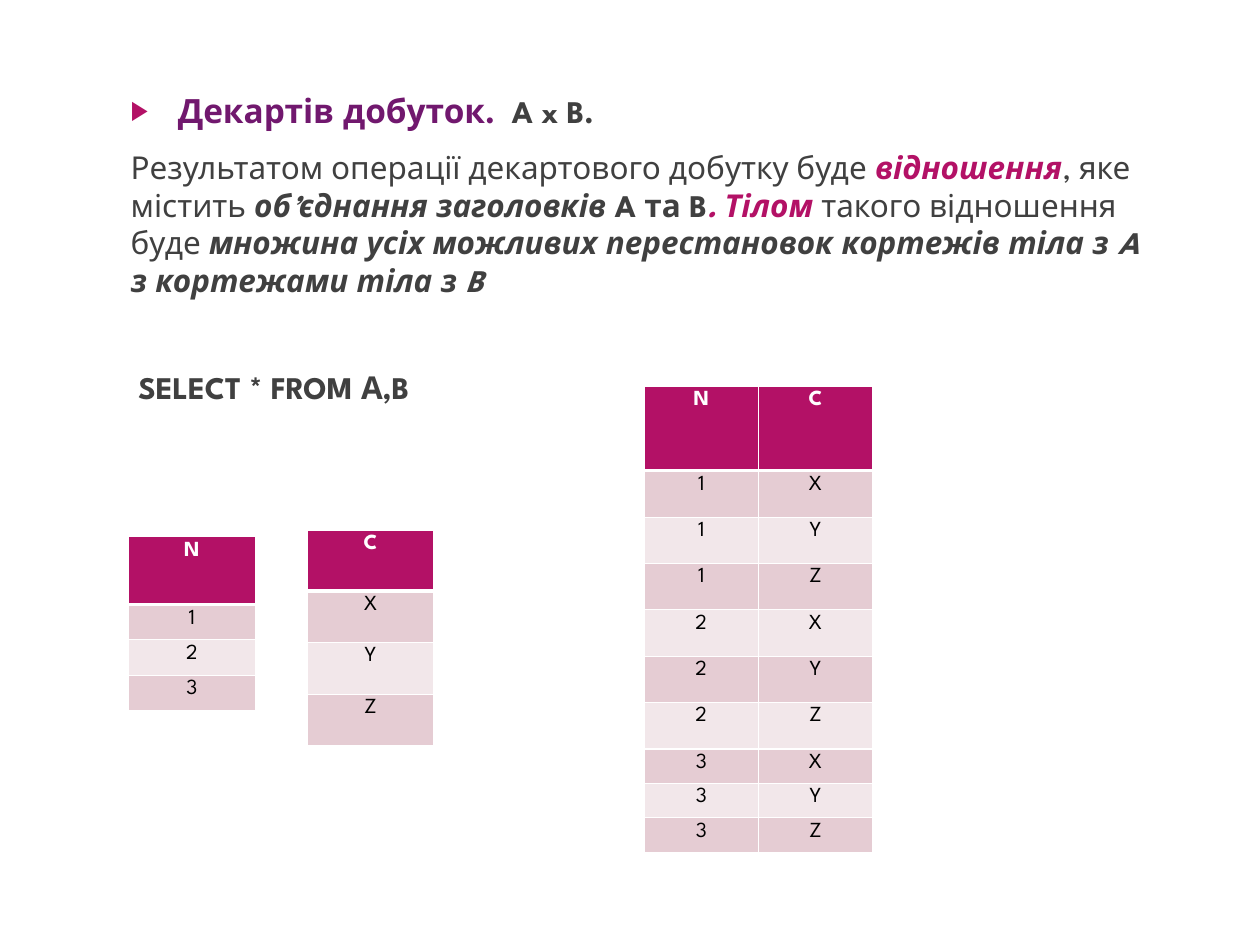
from dataclasses import dataclass
from itertools import product

from lxml.etree import SubElement
from pptx import Presentation
from pptx.dml.color import RGBColor
from pptx.enum.text import MSO_ANCHOR, MSO_AUTO_SIZE, PP_ALIGN
from pptx.oxml.ns import qn
from pptx.util import Inches, Pt


@dataclass(frozen=True)
class Theme:
    font: str = "League Spartan"
    pink: str = "B31166"
    plum: str = "71186E"
    ink: str = "404040"
    black: str = "000000"
    white: str = "FFFFFF"
    dark: str = "E5CCD3"
    light: str = "F2E7EA"
    head: float = 28
    body: float = 26.4
    cell: float = 18
    gap: float = 14.7


@dataclass(frozen=True)
class Grid:
    left: float
    top: float
    width: float
    highs: list[float]
    rows: list[tuple[str, ...]]


THEME = Theme()
NUMS = ("1", "2", "3")
CHARS = ("X", "Y", "Z")
GRIDS = [
    Grid(1.5, 6.25, 1.47, [0.79] + [0.41] * 3, [("N",), *product(NUMS)]),
    Grid(3.58, 6.17, 1.47, [0.71] + [0.6] * 3, [("C",), *product(CHARS)]),
    Grid(7.5, 4.5, 1.33, [0.98] + [0.54] * 6 + [0.4] * 3,
         [("N", "C"), *product(NUMS, CHARS)]),
]


def write(para, text: str, *, size: float = THEME.body, color: str = THEME.ink,
          bold: bool = False, italic: bool = False) -> None:
    run = para.add_run()
    run.text = text
    font = run.font
    font.name, font.size = THEME.font, Pt(size)
    font.bold, font.italic = bold, italic
    font.color.rgb = RGBColor.from_string(color)


def layout(para, gap: float, left: float = 0, hang: float = 0,
           mark: str = "") -> None:
    para.space_before = Pt(gap)
    props = para._p.get_or_add_pPr()
    props.set("marL", str(Inches(left)))
    props.set("indent", str(Inches(-hang)))
    if mark:
        tint = SubElement(props, qn("a:buClr"))
        SubElement(tint, qn("a:srgbClr"), val=THEME.pink)
        SubElement(props, qn("a:buSzPct"), val="80000")
        SubElement(props, qn("a:buChar"), char=mark)
    else:
        SubElement(props, qn("a:buNone"))


def border(cell, side: str, width: float) -> None:
    line = SubElement(cell._tc.get_or_add_tcPr(), qn(f"a:{side}"),
                      w=str(Pt(width)))
    fill = SubElement(line, qn("a:solidFill"))
    SubElement(fill, qn("a:srgbClr"), val=THEME.white)


def draw(slide, grid: Grid) -> None:
    count = len(grid.rows[0])
    table = slide.shapes.add_table(
        len(grid.rows), count, Inches(grid.left), Inches(grid.top),
        Inches(grid.width * count), Inches(sum(grid.highs))).table
    for col in table.columns:
        col.width = Inches(grid.width)
    for row, (high, texts) in enumerate(zip(grid.highs, grid.rows)):
        table.rows[row].height = Inches(high)
        first = row == 0
        shade = THEME.pink if first else (THEME.light, THEME.dark)[row % 2]
        for col, text in enumerate(texts):
            cell = table.cell(row, col)
            for side in ("lnL", "lnR", "lnT", "lnB"):
                thick = (first and side == "lnB") or (row == 1 and side == "lnT")
                border(cell, side, 3 if thick else 1)
            cell.fill.solid()
            cell.fill.fore_color.rgb = RGBColor.from_string(shade)
            para = cell.text_frame.paragraphs[0]
            para.alignment = PP_ALIGN.CENTER
            write(para, text, size=THEME.cell, bold=first,
                  color=THEME.white if first else THEME.black)


def fill_body(body) -> None:
    body.left, body.top = Inches(1.42), Inches(1)
    body.width, body.height = Inches(12.17), Inches(3.87)
    frame = body.text_frame
    frame.word_wrap = True
    frame.auto_size = MSO_AUTO_SIZE.NONE
    frame.vertical_anchor = MSO_ANCHOR.TOP

    head = frame.paragraphs[0]
    layout(head, THEME.gap, left=0.55, hang=0.55, mark="▶")
    write(head, "Декартів добуток. ", size=THEME.head, color=THEME.plum, bold=True)
    write(head, " ")
    write(head, "A x B.", bold=True)

    text = frame.add_paragraph()
    layout(text, THEME.gap)
    write(text, "Результатом операції декартового добутку буде ")
    write(text, "відношення", color=THEME.pink, bold=True, italic=True)
    write(text, ", яке містить ")
    write(text, "об’єднання заголовків ", bold=True, italic=True)
    write(text, "A та B", bold=True)
    write(text, ". Тілом ", color=THEME.pink, bold=True, italic=True)
    write(text, "такого відношення буде ")
    write(text, "множина усіх можливих перестановок кортежів тіла з A "
          "з кортежами тіла з B", bold=True, italic=True)

    query = frame.add_paragraph()
    layout(query, 58, left=0.09)
    write(query, "SELECT * FROM А,B", bold=True)


def main() -> None:
    deck = Presentation()
    deck.slide_width, deck.slide_height = Inches(14.67), Inches(11)
    slide = deck.slides.add_slide(deck.slide_layouts[1])
    title = slide.shapes.title._element
    title.getparent().remove(title)
    fill_body(slide.placeholders[1])
    for grid in GRIDS:
        draw(slide, grid)
    deck.save("out.pptx")


if __name__ == "__main__":
    main()
